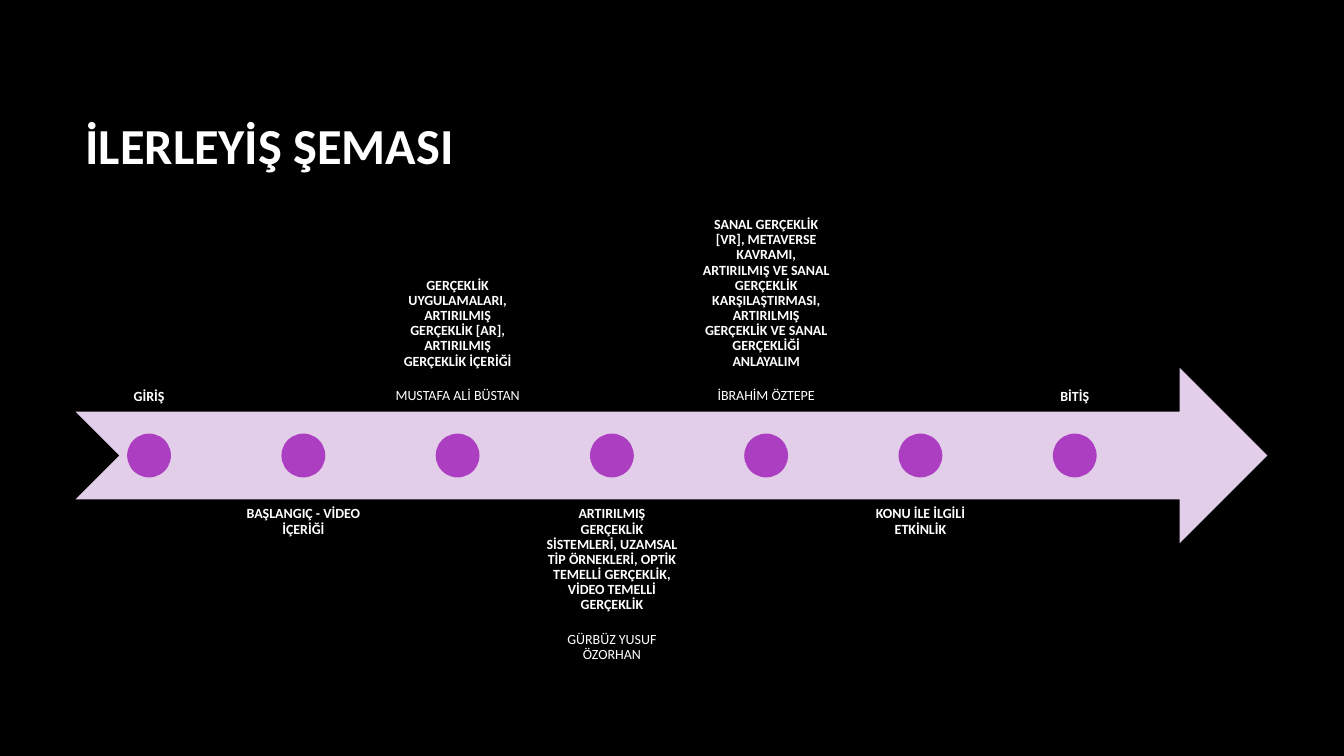
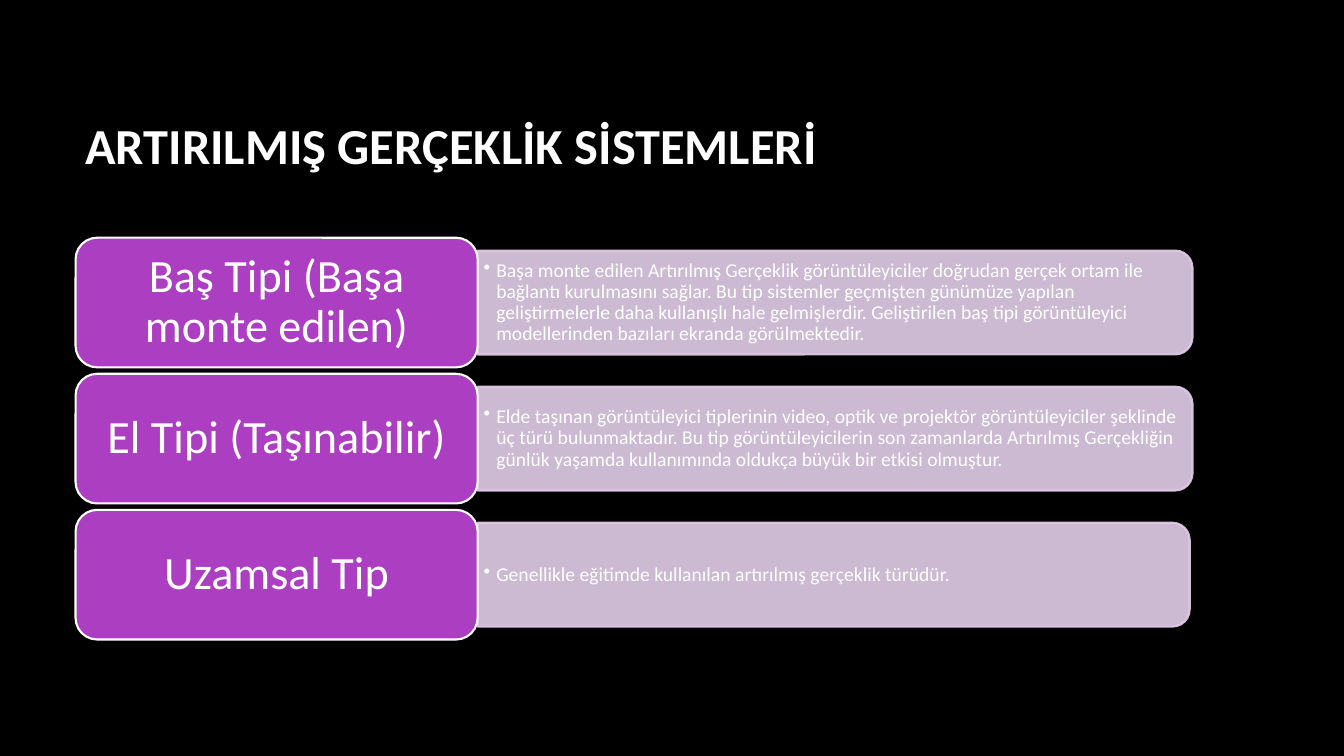
from lxml.etree import SubElement
from pptx import Presentation
from pptx.dml.color import RGBColor
from pptx.enum.shapes import MSO_SHAPE
from pptx.enum.text import MSO_ANCHOR, PP_ALIGN
from pptx.oxml.ns import qn
from pptx.util import Pt

BLACK, WHITE, PURPLE, LILAC = "000000", "FFFFFF", "AC3EC1", "E3CEE9"
FONT = "Calibri"
LEFT = 54


def tint(fill, color):
    fill.solid()
    fill.fore_color.rgb = RGBColor.from_string(color)


def write(shape, paras, size, align, anchor, pad, space=0.9):
    """Fill a shape with (text, bold) paragraphs; a newline is a line break."""
    frame = shape.text_frame
    frame.word_wrap = True
    frame.vertical_anchor = anchor
    frame.margin_left = frame.margin_right = Pt(pad[0])
    frame.margin_top = frame.margin_bottom = Pt(pad[1])
    for i, (text, bold) in enumerate(paras):
        para = frame.add_paragraph() if i else frame.paragraphs[0]
        para.alignment = align
        para.line_spacing = space
        para.space_before = Pt(14 if i else 0)
        for j, line in enumerate(text.split("\n")):
            if j:
                para.add_line_break()
            run = para.add_run()
            run.text = line
            run.font.name = FONT
            run.font.size = Pt(size)
            run.font.bold = bold
            tint(run.font.fill, WHITE)


deck = Presentation()
deck.slide_width, deck.slide_height = Pt(960), Pt(540)

# Shared background and title
pages = []
for title in ("İLERLEYİŞ ŞEMASI", "ARTIRILMIŞ GERÇEKLİK SİSTEMLERİ"):
    page = deck.slides.add_slide(deck.slide_layouts[6])
    tint(page.background.fill, BLACK)
    box = page.shapes.add_textbox(Pt(LEFT), Pt(48), Pt(798), Pt(115))
    write(box, [(title, True)], 36, PP_ALIGN.LEFT, MSO_ANCHOR.MIDDLE,
          (7.2, 3.6))
    pages.append(page.shapes)
flow, types = pages

# Timeline arrow
TOP, HIGH, MID = 262.8, 125.3, 325.4
arrow = flow.add_shape(MSO_SHAPE.NOTCHED_RIGHT_ARROW, Pt(LEFT), Pt(TOP),
                       Pt(851.3), Pt(HIGH))
arrow.shadow.inherit = False
tint(arrow.fill, LILAC)
arrow.line.fill.background()

# Timeline steps, alternately above and below the arrow
STEP, WIDE, DOT = 110.2, 105, 31.3
steps = [
    [("GİRİŞ", True)],
    [("BAŞLANGIÇ - VİDEO İÇERİĞİ", True)],
    [("GERÇEKLİK UYGULAMALARI, ARTIRILMIŞ GERÇEKLİK [AR], "
      "ARTIRILMIŞ GERÇEKLİK İÇERİĞİ", True),
     ("MUSTAFA ALİ BÜSTAN", False)],
    [("ARTIRILMIŞ GERÇEKLİK SİSTEMLERİ, UZAMSAL TİP ÖRNEKLERİ, "
      "OPTİK TEMELLİ GERÇEKLİK, VİDEO TEMELLİ GERÇEKLİK", True),
     ("GÜRBÜZ YUSUF ÖZORHAN", False)],
    [("SANAL GERÇEKLİK [VR], METAVERSE KAVRAMI,\nARTIRILMIŞ VE SANAL "
      "GERÇEKLİK KARŞILAŞTIRMASI, ARTIRILMIŞ GERÇEKLİK VE SANAL "
      "GERÇEKLİĞİ ANLAYALIM", True),
     ("İBRAHİM ÖZTEPE", False)],
    [("KONU İLE İLGİLİ ETKİNLİK", True)],
    [("BİTİŞ", True)],
]
for i, paras in enumerate(steps):
    x = LEFT + i * STEP
    below = i % 2
    y = 356.4 if below else 168.8
    box = flow.add_textbox(Pt(x), Pt(y), Pt(WIDE), Pt(HIGH))
    write(box, paras, 10, PP_ALIGN.CENTER,
          MSO_ANCHOR.TOP if below else MSO_ANCHOR.BOTTOM, (5.6, 5.6))
    dot = flow.add_shape(MSO_SHAPE.OVAL, Pt(x + (WIDE - DOT) / 2),
                         Pt(MID - DOT / 2), Pt(DOT), Pt(DOT))
    dot.shadow.inherit = False
    tint(dot.fill, PURPLE)
    dot.line.fill.background()

# System types: a label with a description bar beside it
ROW, TALL, THIN, SIDE = 97.2, 92.6, 74.2, 287.2
rows = [
    ("Baş Tipi (Başa monte edilen)", 510.6,
     "Başa monte edilen Artırılmış Gerçeklik görüntüleyiciler doğrudan "
     "gerçek ortam ile bağlantı kurulmasını sağlar. Bu tip sistemler "
     "geçmişten günümüze yapılan geliştirmelerle daha kullanışlı hale "
     "gelmişlerdir. Geliştirilen baş tipi görüntüleyici modellerinden "
     "bazıları ekranda görülmektedir."),
    ("El Tipi (Taşınabilir)", 510.6,
     "Elde taşınan görüntüleyici tiplerinin video, optik ve projektör "
     "görüntüleyiciler şeklinde üç türü bulunmaktadır. Bu tip "
     "görüntüleyicilerin son zamanlarda Artırılmış Gerçekliğin günlük "
     "yaşamda kullanımında oldukça büyük bir etkisi olmuştur."),
    ("Uzamsal Tip", 508.6,
     "Genellikle eğitimde kullanılan artırılmış gerçeklik türüdür."),
]
for i, (name, length, text) in enumerate(rows):
    y = 169.8 + i * ROW
    mid = y + TALL / 2
    x = LEFT + SIDE

    # Bar, turned so that its round corners face right
    bar = types.add_shape(MSO_SHAPE.ROUND_2_SAME_RECTANGLE,
                          Pt(x + (length - THIN) / 2), Pt(mid - length / 2),
                          Pt(THIN), Pt(length))
    bar.rotation = 90
    bar.shadow.inherit = False
    tint(bar.fill, LILAC)
    tint(bar.line.fill, LILAC)
    bar.line.width = Pt(1.5)
    for color in bar.element.spPr.iter(qn("a:srgbClr")):
        SubElement(color, qn("a:alpha"), val="90000")

    # Bulleted description
    box = types.add_textbox(Pt(x), Pt(mid - THIN / 2), Pt(length - 3.6),
                            Pt(THIN))
    write(box, [(text, False)], 14, PP_ALIGN.LEFT, MSO_ANCHOR.MIDDLE,
          (4.3, 2.2))
    props = box.text_frame.paragraphs[0]._p.get_or_add_pPr()
    props.set("marL", str(Pt(9)))
    props.set("indent", str(Pt(-9)))
    SubElement(props, qn("a:buChar"), char="•")

    # Label
    label = types.add_shape(MSO_SHAPE.ROUNDED_RECTANGLE, Pt(LEFT), Pt(y),
                            Pt(SIDE), Pt(TALL))
    label.shadow.inherit = False
    tint(label.fill, PURPLE)
    tint(label.line.fill, WHITE)
    label.line.width = Pt(1.5)
    write(label, [(name, False)], 33, PP_ALIGN.CENTER, MSO_ANCHOR.MIDDLE,
          (14.4, 9.4))

deck.save("out.pptx")
